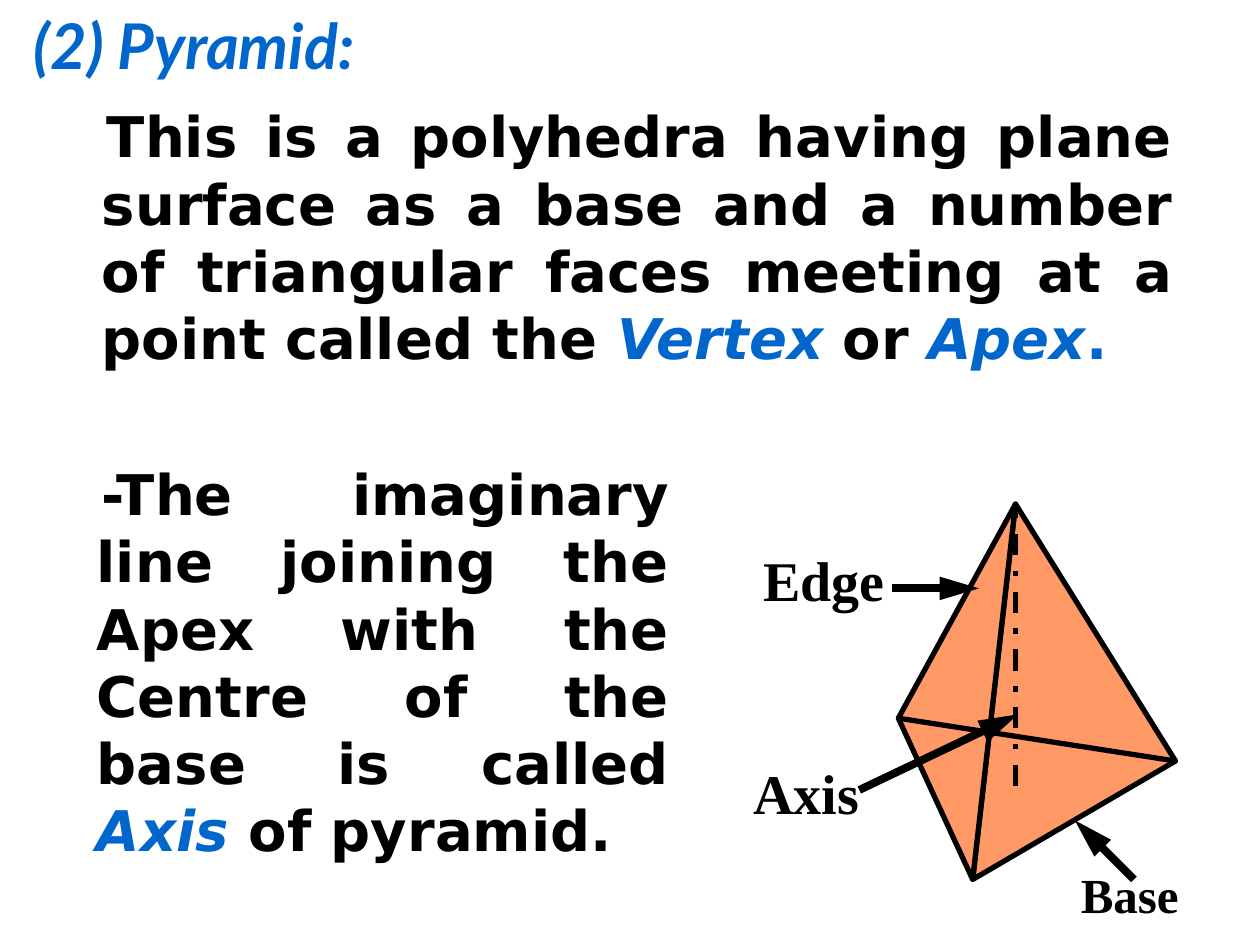
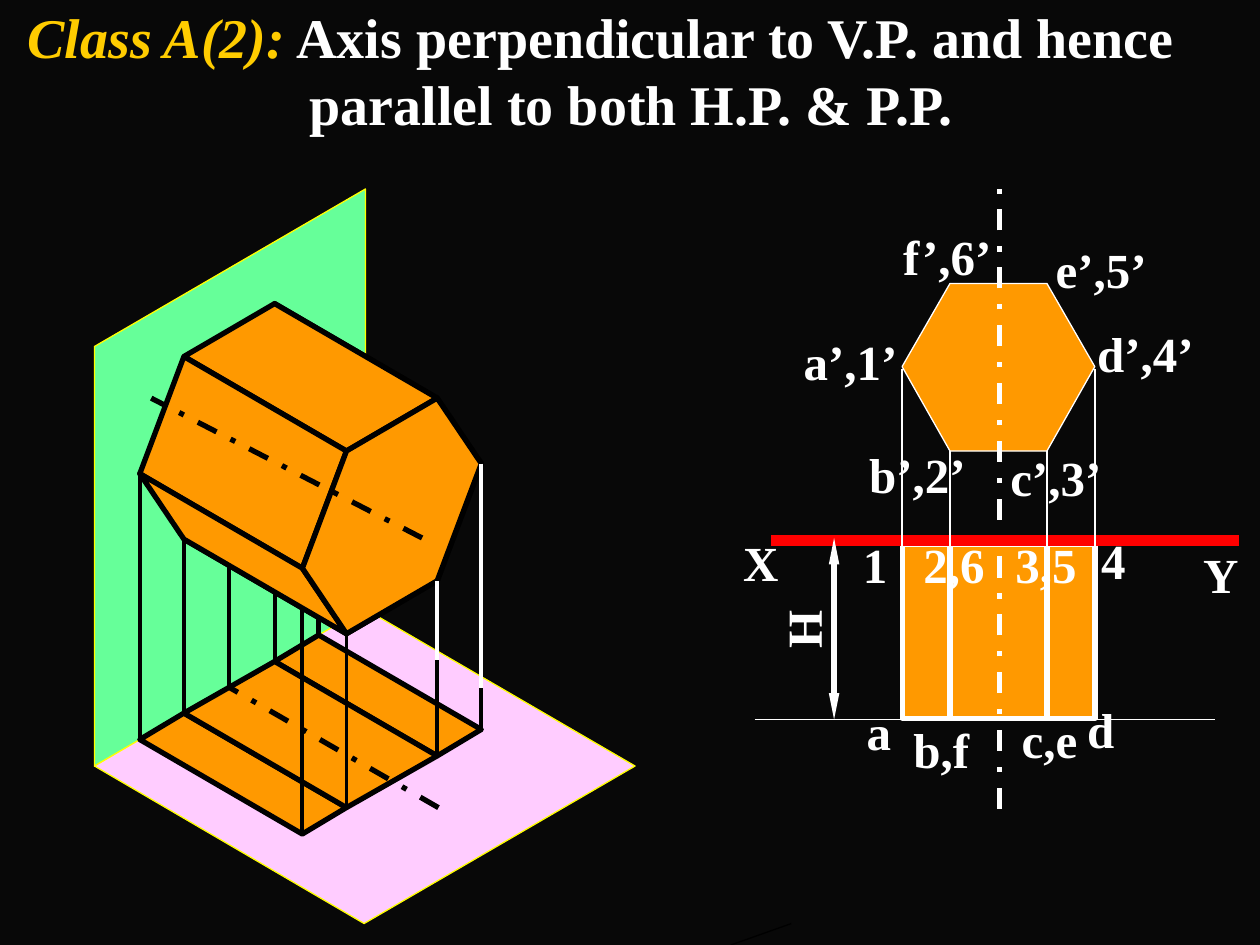
from dataclasses import dataclass

from lxml import etree
from pptx import Presentation
from pptx import util as u
from pptx.dml.color import RGBColor
from pptx.enum import dml, shapes, text
from pptx.oxml import ns


@dataclass(frozen=True)
class Theme:
    paper: str = "FFFFFF"
    night: str = "080808"
    ink: str = "000000"
    white: str = "FFFFFF"
    blue: str = "0066CC"
    gold: str = "FFCC00"
    red: str = "FF0000"
    coral: str = "FF9966"
    orange: str = "FF9900"
    green: str = "66FF99"
    pink: str = "FFCCFF"
    yellow: str = "FFFF00"
    heading_font: str = "Lato"
    body_font: str = "DejaVu Sans"
    label_font: str = "Times New Roman"
    heading: int = 36
    body: int = 32
    label: int = 28
    hairline: float = 0
    thin: float = 0.75
    medium: float = 2.25
    thick: float = 3
    arrow: float = 4.5
    bar: float = 6


T = Theme()
deck = Presentation()
deck.slide_width, deck.slide_height = u.Inches(10), u.Inches(7.5)

# Grid of 100 columns by 75 rows; every length below is in grid cells
COL, ROW = deck.slide_width / 100, deck.slide_height / 75


def write(slide, box, runs, font, size, indent=None, justify=False, turn=0):
    """Text box from (words, colour, italic) runs; indent is (left, first line)."""
    left, top, width, height = box
    area = slide.shapes.add_textbox(round(left * COL), round(top * ROW),
                                    round(width * COL), round(height * ROW))
    area.rotation = turn
    frame = area.text_frame
    frame.word_wrap = True
    frame.auto_size = text.MSO_AUTO_SIZE.SHAPE_TO_FIT_TEXT
    paragraph = frame.paragraphs[0]
    paragraph.alignment = text.PP_ALIGN.JUSTIFY if justify else text.PP_ALIGN.LEFT
    if indent:
        properties = paragraph._p.get_or_add_pPr()
        properties.set("marL", str(round(indent[0] * COL)))
        properties.set("indent", str(round(indent[1] * COL)))
    for words, colour, italic in runs:
        run = paragraph.add_run()
        run.text = words
        run.font.name, run.font.size = font, u.Pt(size)
        run.font.bold, run.font.italic = True, italic
        run.font.color.rgb = RGBColor.from_string(colour)


def draw(slide, points, colour, weight, fill=None, dashed=False, heads=(), head_width="med"):
    """Straight line through two points, or a filled polygon through more."""
    corners = [(round(x * COL), round(y * ROW)) for x, y in points]
    if len(corners) == 2:
        stroke = slide.shapes.add_connector(shapes.MSO_CONNECTOR.STRAIGHT,
                                            *corners[0], *corners[1])
        etree.SubElement(stroke._element.spPr, ns.qn("a:effectLst"))
    else:
        outline = slide.shapes.build_freeform(*corners[0], scale=1.0)
        outline.add_line_segments(corners[1:], close=True)
        stroke = outline.convert_to_shape()
        stroke.shadow.inherit = False
        stroke.fill.solid()
        stroke.fill.fore_color.rgb = RGBColor.from_string(fill)
    stroke.line.color.rgb = RGBColor.from_string(colour)
    stroke.line.width = u.Pt(weight)
    if dashed:
        stroke.line.dash_style = dml.MSO_LINE.DASH_DOT
    for end in heads:
        etree.SubElement(stroke.line._get_or_add_ln(), ns.qn(f"a:{end}"),
                         type="triangle", w=head_width, len="lg")


pyramid, prism = [deck.slides.add_slide(deck.slide_layouts[6]) for _ in range(2)]
for slide, backdrop in ((pyramid, T.paper), (prism, T.night)):
    slide.background.fill.solid()
    slide.background.fill.fore_color.rgb = RGBColor.from_string(backdrop)

# Slide 1: heading and definitions
write(pyramid, (1.7, 0, 35, 7), [("(2) Pyramid:", T.blue, True)],
      T.heading_font, T.heading, (3.8, -3.8), True)
definitions = [
    ((3.3, 7.6, 90.8, 22.3), [
        ("This is a polyhedra having plane surface as a base and a number of "
         "triangular faces meeting at a point called the ", T.ink, False),
        ("Vertex ", T.blue, True), ("or ", T.ink, False),
        ("Apex", T.blue, True), (".", T.blue, False)]),
    ((2.9, 36, 51.2, 33), [
        ("-The imaginary line joining the Apex with the Centre of the base "
         "is called ", T.ink, False),
        ("Axis ", T.blue, True), ("of pyramid.", T.ink, False)]),
]
for box, runs in definitions:
    write(pyramid, box, runs, T.body_font, T.body, (3.8, 0.4), True)

# Slide 1: pyramid solid
apex, west, east, south = (80.6, 40), (71.3, 57), (93.3, 60.4), (77.2, 69.8)
for side in (east, west):
    draw(pyramid, [apex, side, south], T.ink, T.thick, T.coral)
draw(pyramid, [(80.6, 62.4), apex], T.ink, T.thick, dashed=True)
draw(pyramid, [east, west], T.ink, T.thick)

# Slide 1: labels with arrows
callouts = [
    ("Axis", (58.8, 59.7, 11.7, 6.3), T.body, [(68.2, 62.7), (80.8, 56.7)]),
    ("Edge", (59.6, 42.8, 15, 6.3), T.body, [(70.8, 46.7), (77.7, 46.7)]),
    ("Base", (84.8, 68.1, 13.8, 5.7), T.label, [(90, 69.8), (85.3, 65.1)]),
]
for name, box, size, pointer in callouts:
    draw(pyramid, pointer, T.ink, T.arrow, heads=["tailEnd"])
    write(pyramid, box, [(name, T.ink, False)], T.label_font, size)

# Slide 2: heading
write(prism, (-7.6, -0.3, 107.5, 11.7), [
    ("Class A(2):", T.gold, True),
    (" Axis perpendicular to V.P. and hence parallel to both H.P. & P.P.", T.white, False)],
    T.label_font, T.body, (31.2, -22.4))

# Slide 2: front and top views
edges = [71.6, 75.4, 83.1, 86.9]
ground, hex_top, hex_middle, hex_bottom, view_top, view_bottom = 42.9, 22.5, 29.1, 35.8, 43.2, 57
for strip in (2, 0, 1):
    x1, x2 = edges[strip:strip + 2]
    draw(prism, [(x1, view_top), (x2, view_top), (x2, view_bottom), (x1, view_bottom)],
         T.white, T.thick, T.orange)
draw(prism, [(edges[0], hex_middle), (edges[1], hex_top), (edges[2], hex_top),
             (edges[3], hex_middle), (edges[2], hex_bottom), (edges[1], hex_bottom)],
     T.white, T.hairline, T.orange)
draw(prism, [(79.3, 64.2), (79.3, 15)], T.white, T.thick, dashed=True)
draw(prism, [(61.2, ground), (98.3, ground)], T.red, T.bar)

# Slide 2: hexagonal prism, its far end offset from the near end
near = [(34.7, 31.6), (38.2, 36.8), (34.7, 46.1), (27.5, 50.3), (24, 45.1), (27.5, 35.8)]
far = [(x - 12.9, y - 7.5) for x, y in near]
near_plan = {1: (38.2, 57.9), 2: (34.7, 60), 3: (27.5, 64.1), 4: (24, 66.2)}
far_plan = {i: (x - 12.9, y - 7.5) for i, (x, y) in near_plan.items()}
sides = [[near[i], near[(i + 1) % 6], far[(i + 1) % 6], far[i]] for i in range(6)]

# Vertical plane, hidden projectors and horizontal plane
draw(prism, [(29, 15), (29, 48.3), (7.5, 60.8), (7.5, 27.5)], T.yellow, T.hairline, T.green)
for corner, weight in ((2, T.medium), (1, T.thick)):
    draw(prism, [far[corner], far_plan[corner]], T.ink, weight)
draw(prism, sides[1], T.ink, T.thick, T.orange)
draw(prism, [(28.9, 48.3), (7.5, 60.8), (28.9, 73.3), (50.4, 60.8)],
     T.yellow, T.hairline, T.pink)

# Plan on the horizontal plane and its projectors
for i in (3, 1, 2):
    draw(prism, [near_plan[i], near_plan[i + 1], far_plan[i + 1], far_plan[i]],
         T.ink, T.thick, T.orange)
for solid, plan in ((near, near_plan), (far, far_plan)):
    for i in (3, 4):
        draw(prism, [solid[i], plan[i]], T.ink, T.medium)
draw(prism, [(18.2, 33.4), (18.2, 54.6)], T.ink, T.medium)

# Faces from back to front
for face in [sides[i] for i in (0, 5, 2, 4, 3)] + [near]:
    draw(prism, face, T.ink, T.thick, T.orange)
for i, white_end in ((1, 54.6), (2, 52.4)):
    draw(prism, [near[i], near_plan[i]], T.ink, T.medium)
    draw(prism, [near[i], (near[i][0], white_end)], T.white, T.medium)
for axis in ([(33.5, 42.7), (12, 31.6)], [(34.8, 64.1), (18.1, 54.5)]):
    draw(prism, axis, T.ink, T.thick, dashed=True)

# Slide 2: projectors between the views
for x, top in zip(edges, (29.3, hex_bottom, hex_bottom, 29.3)):
    draw(prism, [(x, top), (x, view_bottom)], T.white, T.thin)

# Slide 2: point labels as (name, left, top, width)
marks = [
    ("c’,3’", 79.2, 35, 10.8), ("b’,2’", 68, 34.8, 10.3), ("f’,6’", 70.7, 17.5, 9.2),
    ("e’,5’", 82.8, 18.5, 11.4), ("d’,4’", 86.1, 25.2, 13.7), ("a’,1’", 62.8, 25.8, 10.5),
    ("a", 67.8, 55.2, 7.2), ("b,f", 71.5, 56.6, 7.2), ("c,e", 80.1, 55.8, 7.2),
    ("d", 85.3, 55, 7.2), ("4", 86.4, 41.6, 7.2), ("3,5", 79.6, 41.9, 7.2),
    ("2,6", 72.3, 41.9, 7.2), ("1", 67.5, 41.9, 7.2), ("X", 58, 41.8, 7.2),
    ("Y", 94.5, 42.7, 7.2), ("H", 60.1, 46, 7.2),
]
for name, left, top, width in marks:
    write(prism, (left, top, width, 5.7), [(name, T.white, False)], T.label_font, T.label,
          turn=270 if name == "H" else 0)

# Slide 2: height dimension
draw(prism, [(58, 75), (62.8, 73.3)], T.ink, T.thin)
draw(prism, [(59.9, 57.1), (96.4, 57.1)], T.white, T.thin)
draw(prism, [(66.2, 42.7), (66.2, 57.1)], T.white, T.thick,
     heads=["headEnd", "tailEnd"], head_width="sm")

deck.save("out.pptx")
